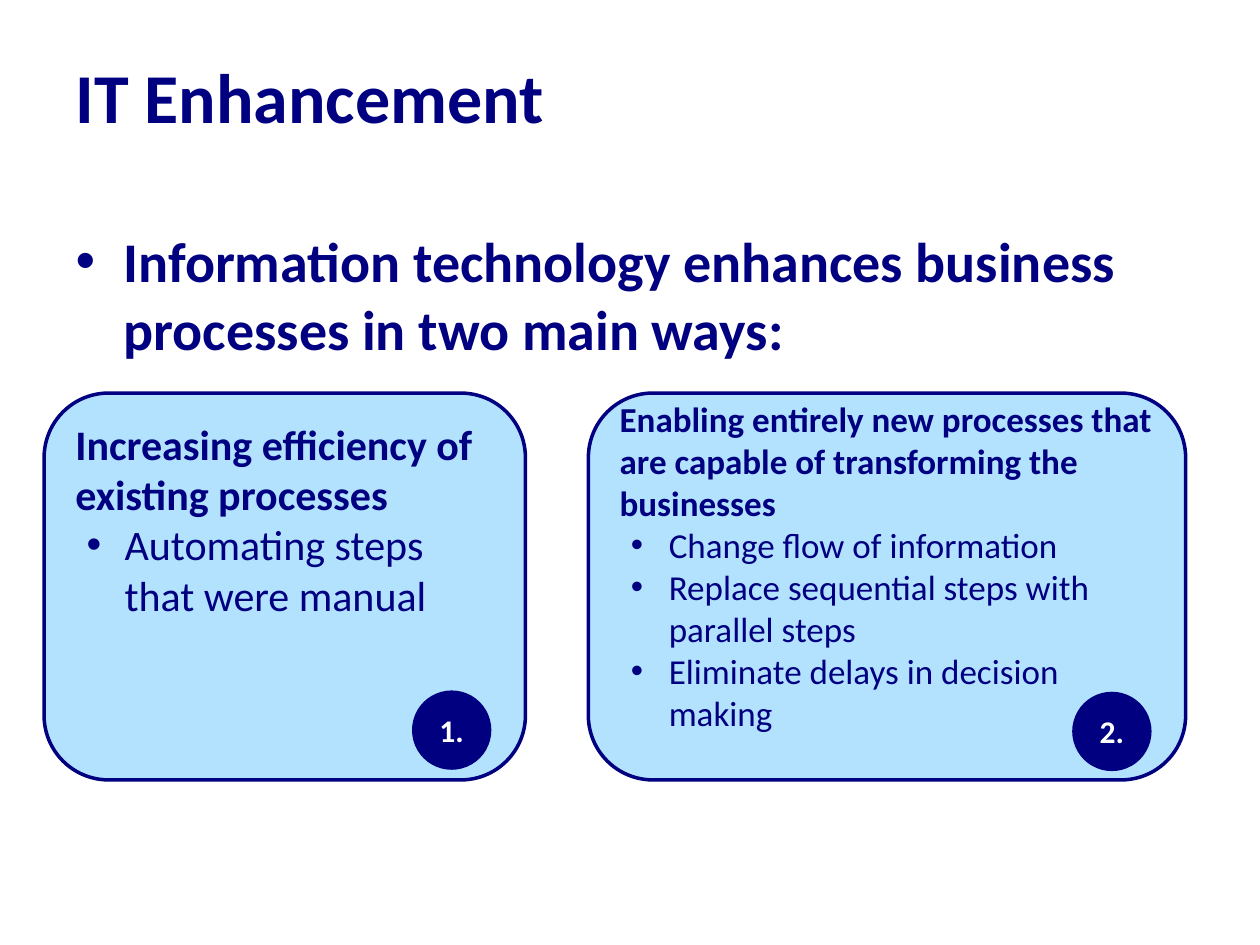
import pptx
import pptx.util
import pptx.dml.color
import pptx.enum.shapes
import pptx.enum.text
import pptx.oxml
import pptx.oxml.ns

Inches = pptx.util.Inches
Pt = pptx.util.Pt
RGBColor = pptx.dml.color.RGBColor
Shapes = pptx.enum.shapes.MSO_SHAPE
Anchor = pptx.enum.text.MSO_ANCHOR
Align = pptx.enum.text.PP_ALIGN

# Content
TITLE = "IT Enhancement"
LEAD = "Information technology enhances business processes in two main ways:"
CARDS = [
    {
        "heading": "Increasing efficiency of existing processes",
        "points": ["Automating steps that were manual"],
        "left": 0.35, "width": 3.82, "size": 24,
        "anchor": Anchor.TOP, "bottom_inset": 0.05,
        "badge": "1.", "badge_left": 3.27, "badge_top": 5.48,
    },
    {
        "heading": "Enabling entirely new processes that are capable of "
                   "transforming the businesses",
        "points": [
            "Change flow of information",
            "Replace sequential steps with parallel steps",
            "Eliminate delays in decision making",
        ],
        "left": 4.67, "width": 4.74, "size": 20,
        "anchor": Anchor.MIDDLE, "bottom_inset": 0.38,
        "badge": "2.", "badge_left": 8.51, "badge_top": 5.49,
    },
]

# Theme and layout
THEME = {
    "font": "Calibri",
    "navy": RGBColor(0x00, 0x00, 0x80),
    "sky": RGBColor(0xB3, 0xE2, 0xFF),
    "white": RGBColor(0xFF, 0xFF, 0xFF),
    "title": 40, "lead": 32, "badge": 18,
}
CARD_TOP, CARD_HEIGHT = 3.12, 3.07
BADGE_SIZE = 0.63


def place(shape, left, top, width, height):
    shape.left, shape.top = Inches(left), Inches(top)
    shape.width, shape.height = Inches(width), Inches(height)


def write(paragraph, text, size, bold=True, color=THEME["navy"],
          align=Align.LEFT, indent=None):
    """Fill a paragraph; indent is (left margin, hanging depth) of a bullet."""
    if indent:
        margin, hanging = indent
        properties = paragraph._p.get_or_add_pPr()
        properties.set("marL", str(Inches(margin)))
        properties.set("indent", str(-Inches(hanging)))
        namespace = pptx.oxml.ns.nsdecls("a")
        for tag in (f'<a:buFont {namespace} typeface="Arial"/>',
                    f'<a:buChar {namespace} char="•"/>'):
            properties.append(pptx.oxml.parse_xml(tag))
    paragraph.alignment = align
    paragraph.space_before = Pt(0)
    run = paragraph.add_run()
    run.text = text
    run.font.name = THEME["font"]
    run.font.size = Pt(size)
    run.font.bold = bold
    run.font.color.rgb = color


def add_panel(slide, kind, box, fill, anchor):
    shape = slide.shapes.add_shape(kind, *(Inches(value) for value in box))
    shape.shadow.inherit = False
    shape.fill.solid()
    shape.fill.fore_color.rgb = fill
    shape.text_frame.word_wrap = True
    shape.text_frame.vertical_anchor = anchor
    return shape


def add_card(slide, card):
    box = (card["left"], CARD_TOP, card["width"], CARD_HEIGHT)
    shape = add_panel(slide, Shapes.ROUNDED_RECTANGLE, box, THEME["sky"], card["anchor"])
    shape.line.color.rgb = THEME["navy"]
    shape.line.width = Pt(2)
    frame = shape.text_frame
    frame.margin_bottom = Inches(card["bottom_inset"])
    write(frame.paragraphs[0], card["heading"], card["size"])
    for point in card["points"]:
        write(frame.add_paragraph(), point, card["size"], bold=False, indent=(0.39, 0.3))


def add_badge(slide, card):
    box = (card["badge_left"], card["badge_top"], BADGE_SIZE, BADGE_SIZE)
    shape = add_panel(slide, Shapes.OVAL, box, THEME["navy"], Anchor.MIDDLE)
    shape.line.fill.background()
    write(shape.text_frame.paragraphs[0], card["badge"], THEME["badge"],
          color=THEME["white"], align=Align.CENTER)


def main():
    presentation = pptx.Presentation()
    presentation.slide_width, presentation.slide_height = Inches(10), Inches(7.5)
    slide = presentation.slides.add_slide(presentation.slide_layouts[1])

    # Title and lead sentence
    title, body = slide.shapes.title, slide.placeholders[1]
    place(title, 0.5, 0.13, 9, 1.25)
    title.text_frame.vertical_anchor = Anchor.MIDDLE
    write(title.text_frame.paragraphs[0], TITLE, THEME["title"])
    place(body, 0.5, 1.75, 9, 4.95)
    write(body.text_frame.paragraphs[0], LEAD, THEME["lead"], indent=(0.38, 0.38))

    # Cards, then their number badges on top
    for add_part in (add_card, add_badge):
        for card in CARDS:
            add_part(slide, card)

    presentation.save("out.pptx")


if __name__ == "__main__":
    main()
